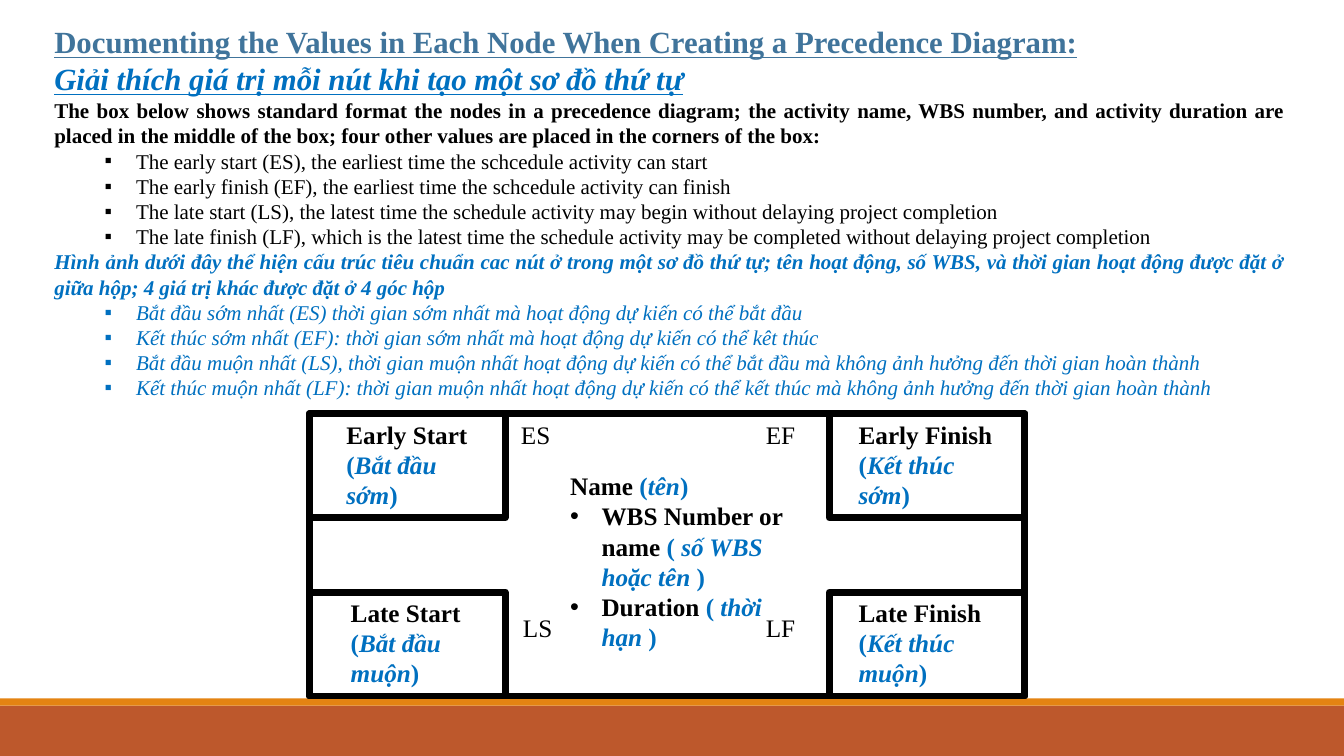
"""Build a slide explaining the values held in each precedence diagram node."""
from lxml import etree
from pptx import Presentation
from pptx.dml.color import RGBColor
from pptx.enum.shapes import MSO_SHAPE
from pptx.enum.text import MSO_AUTO_SIZE, PP_ALIGN
from pptx.oxml.ns import qn
from pptx.util import Cm, Pt

FONT = "Times New Roman"
BLACK = RGBColor(0x00, 0x00, 0x00)
BLUE = RGBColor(0x00, 0x70, 0xC0)
STEEL = RGBColor(0x40, 0x74, 0x9B)
RUST = RGBColor(0xBD, 0x58, 0x2C)
ORANGE = RGBColor(0xE4, 0x83, 0x12)

STYLES = {
    "heading": (STEEL, "bu"),
    "heading_vi": (BLUE, "biu"),
    "plain": (BLACK, ""),
    "bold": (BLACK, "b"),
    "bracket": (BLUE, "b"),
    "bold_vi": (BLUE, "bi"),
    "plain_vi": (BLUE, "i"),
}

TITLES = [
    ("Documenting the Values in Each Node When Creating a Precedence Diagram:", "heading"),
    ("Giải thích giá trị mỗi nút khi tạo một sơ đồ thứ tự", "heading_vi"),
]
EXPLANATIONS = [
    ("The box below shows standard format the nodes in a precedence diagram; the activity name, "
     "WBS number, and activity duration are placed in the middle of the box; four other values "
     "are placed in the corners of the box:", "bold",
     ["The early start (ES), the earliest time the schcedule activity can start",
      "The early finish (EF), the earliest time the schcedule activity can finish",
      "The late start (LS), the latest time the schedule activity may begin without delaying "
      "project completion",
      "The late finish (LF), which is the latest time the schedule activity may be completed "
      "without delaying project completion"], "plain"),
    ("Hình ảnh dưới đây thể hiện cấu trúc tiêu chuẩn cac nút ở trong một sơ đồ thứ tự; tên hoạt "
     "động, số WBS, và thời gian hoạt động được đặt ở giữa hộp; 4 giá trị khác được đặt ở 4 góc "
     "hộp", "bold_vi",
     ["Bắt đầu sớm nhất (ES) thời gian sớm nhất mà hoạt động dự kiến có thể bắt đầu",
      "Kết thúc sớm nhất (EF): thời gian sớm nhất mà hoạt động dự kiến có thể kêt thúc",
      "Bắt đầu muộn nhất (LS), thời gian muộn nhất hoạt động dự kiến có thể bắt đầu mà không "
      "ảnh hưởng đến thời gian hoàn thành",
      "Kết thúc muộn nhất (LF): thời gian muộn nhất hoạt động dự kiến có thể kết thúc mà không "
      "ảnh hưởng đến thời gian hoàn thành"], "plain_vi"),
]
CORNERS = [
    (0, 0, "Early Start ", "Bắt đầu sớm", 0.68, 4.17, "ES", 12.88),
    (1, 0, "Early Finish ", "Kết thúc sớm", 0.49, 3.94, "EF", 19.05),
    (0, 1, "Late Start ", "Bắt đầu muộn", 0.79, 4.17, "LS", 12.93),
    (1, 1, "Late Finish ", "Kết thúc muộn", 0.49, 4.42, "LF", 19.05),
]
CENTRE = [
    ("Name ", "(", "tên", ")"),
    ("WBS Number or name ", "( ", "số WBS hoặc tên ", ")"),
    ("Duration ", "( ", "thời hạn", " )"),
]

SLIDE_W, SLIDE_H = 33.87, 19.05
NODE_X, NODE_Y, NODE_W, NODE_H = 7.8, 10.43, 18.03, 7.11
CORNER_W, CORNER_H = 4.93, 2.62
CODE_TOPS = (10.44, 15.3)
HANG = 0.79

prs = Presentation()
prs.slide_width, prs.slide_height = Cm(SLIDE_W), Cm(SLIDE_H)
slide = prs.slides.add_slide(prs.slide_layouts[6])


def add_box(x, y, w, h, fill=None):
    """Draw a filled band, or a heavy black frame when no fill is given."""
    box = slide.shapes.add_shape(MSO_SHAPE.RECTANGLE, Cm(x), Cm(y), Cm(w), Cm(h))
    box.shadow.inherit = False
    if fill is not None:
        box.fill.solid()
        box.fill.fore_color.rgb = fill
        box.line.fill.background()
        return
    box.fill.background()
    box.line.color.rgb = BLACK
    box.line.width = Pt(5)
    etree.SubElement(box.line._get_or_add_ln(), qn("a:round"))


def add_text(x, y, w, h, paragraphs, size, align=PP_ALIGN.LEFT, wrap=True):
    """Write paragraphs given as (runs, bullet, left indent) tuples."""
    box = slide.shapes.add_textbox(Cm(x), Cm(y), Cm(w), Cm(h))
    frame = box.text_frame
    frame.word_wrap = wrap
    frame.auto_size = MSO_AUTO_SIZE.SHAPE_TO_FIT_TEXT
    for index, (runs, bullet, indent) in enumerate(paragraphs):
        paragraph = frame.add_paragraph() if index else frame.paragraphs[0]
        paragraph.alignment = align
        if bullet:
            props = paragraph._p.get_or_add_pPr()
            props.set("marL", str(Cm(indent)))
            props.set("indent", str(-Cm(HANG)))
            etree.SubElement(props, qn("a:buFont")).set("typeface", "Arial")
            etree.SubElement(props, qn("a:buChar")).set("char", bullet)
        for text, style in runs:
            color, flags = STYLES[style]
            run = paragraph.add_run()
            run.text = text
            font = run.font
            font.name, font.size, font.color.rgb = FONT, Pt(size), color
            font.bold, font.italic, font.underline = (flag in flags for flag in "biu")


def bilingual(name, opening, translation, closing):
    """Pair a bold English name with its bracketed translation."""
    return [(name, "bold"), (opening, "bracket"), (translation, "bold_vi"), (closing, "bracket")]


add_box(0, 17.78, SLIDE_W, SLIDE_H - 17.78, RUST)
add_box(0, 17.6, SLIDE_W, 0.18, ORANGE)
add_box(NODE_X, NODE_Y, NODE_W, NODE_H)

for column, row, name, translation, inset, width, code, code_x in CORNERS:
    x = NODE_X + column * (NODE_W - CORNER_W)
    y = NODE_Y + row * (NODE_H - CORNER_H)
    add_box(x, y, CORNER_W, CORNER_H)
    add_text(x + inset, y, width, 2.57, [(bilingual(name, "(", translation, ")"), None, 0)], 18)
    add_text(code_x, CODE_TOPS[row], 1.27, 1.02, [([(code, "plain")], None, 0)], 18, wrap=False)

add_text(14.12, 11.73, 6.17, 4.88,
         [(bilingual(*parts), "•" if index else None, HANG) for index, parts in enumerate(CENTRE)], 18)
add_text(1.12, 0.46, 29.74, 2.13, [([title], None, 0) for title in TITLES], 22)

body = []
for intro, intro_style, points, point_style in EXPLANATIONS:
    body.append(([(intro, intro_style)], None, 0))
    body += [([(point, point_style)], "▪", 2.06) for point in points]
add_text(1.12, 2.34, 31.52, 7.95, body, 15, PP_ALIGN.JUSTIFY)

prs.save("out.pptx")
